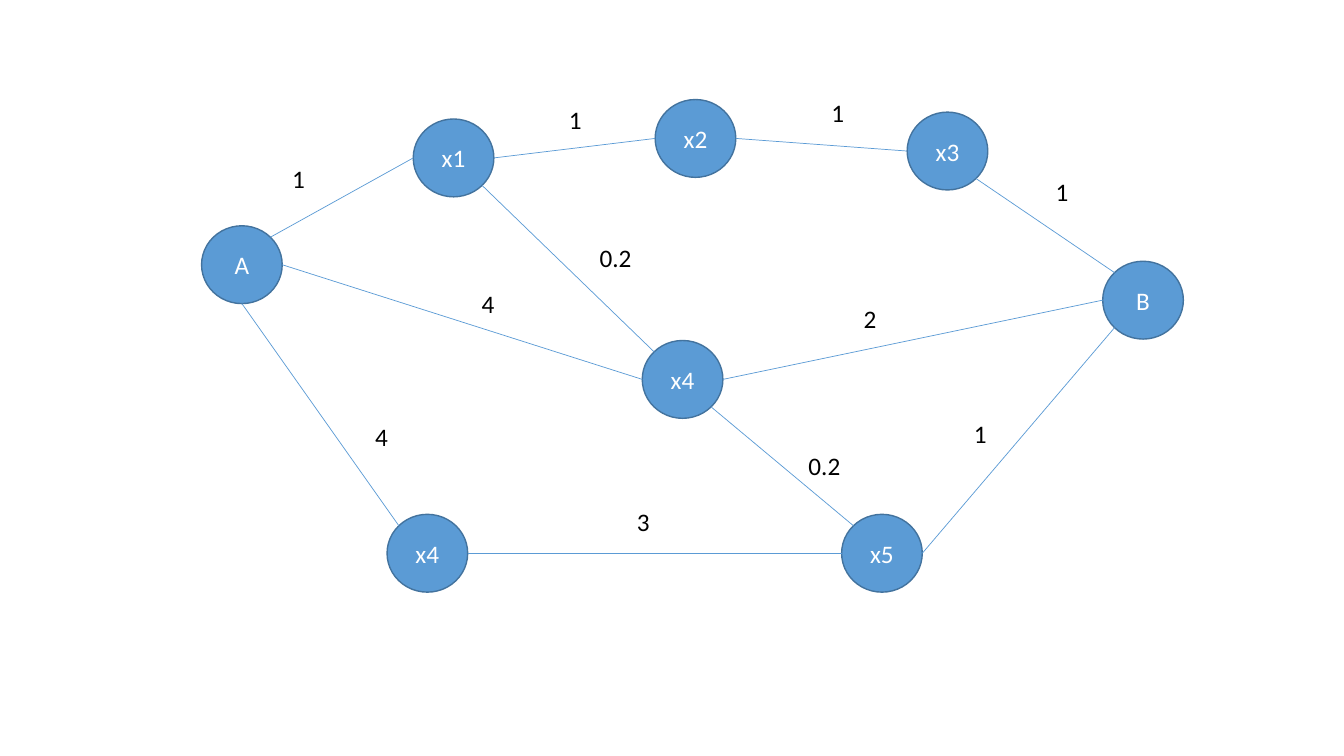
from math import cos, pi, sin

from lxml.etree import SubElement
from pptx import Presentation
from pptx.dml.color import RGBColor
from pptx.enum.shapes import MSO_CONNECTOR, MSO_SHAPE
from pptx.enum.text import MSO_ANCHOR, MSO_AUTO_SIZE, PP_ALIGN
from pptx.oxml.ns import qn
from pptx.util import Pt

COLORS = {"node": "5B9BD5", "outline": "43739E", "edge": "5B9BD5",
          "node_text": "FFFFFF", "weight": "000000"}
FONT, SIZE = "Calibri", 18
NODE_W, NODE_H = 57.6, 55.6
LABEL_W, LABEL_H = 68.4, 29.1

# Ellipse connection sites, counter-clockwise from the top
SITES = ["top", "top left", "left", "bottom left",
         "bottom", "bottom right", "right", "top right"]

# Key: (text, left, top)
NODES = {
    "A": ("A", 144, 161.3),
    "x1": ("x1", 295.2, 85),
    "x2": ("x2", 468, 71.1),
    "x3": ("x3", 648, 80.1),
    "B": ("B", 787.7, 186.6),
    "x4 middle": ("x4", 458.8, 243.2),
    "x4 lower": ("x4", 276.5, 367.4),
    "x5": ("x5", 601.2, 367.4),
}

# Start node, site, end node, site, weight, label left, label top
EDGES = [
    ("A", "top right", "x1", "left", "1", 201.6, 113),
    ("x1", "right", "x2", "left", "1", 399.2, 71.1),
    ("x2", "right", "x3", "left", "1", 586.8, 65.7),
    ("x3", "bottom right", "B", "top left", "1", 746.9, 122.4),
    ("A", "right", "x4 middle", "left", "4", 337, 202.3),
    ("x4 middle", "right", "B", "left", "2", 609.8, 213.1),
    ("A", "bottom", "x4 lower", "top left", "4", 260.8, 297.4),
    ("x4 lower", "right", "x5", "left", "3", 447.8, 358.4),
    ("x5", "right", "B", "bottom left", "1", 688.5, 295.4),
    ("x1", "bottom right", "x4 middle", "top left", "0.2", 421.2, 169.4),
    ("x4 middle", "bottom right", "x5", "top left", "0.2", 570.4, 318.2),
]


def rgb(name):
    return RGBColor.from_string(COLORS[name])


def set_text(tf, text, color):
    p = tf.paragraphs[0]
    p.text = text
    p.font.name, p.font.size = FONT, Pt(SIZE)
    p.font.color.rgb = rgb(color)
    return p


def add_node(s, text, left, top):
    sp = s.shapes.add_shape(MSO_SHAPE.OVAL, Pt(left), Pt(top),
                            Pt(NODE_W), Pt(NODE_H))
    sp.shadow.inherit = False
    sp.fill.solid()
    sp.fill.fore_color.rgb = rgb("node")
    sp.line.color.rgb = rgb("outline")
    sp.line.width = Pt(1)
    sp.text_frame.vertical_anchor = MSO_ANCHOR.MIDDLE
    set_text(sp.text_frame, text, "node_text").alignment = PP_ALIGN.CENTER
    return sp


def site_point(sp, site):
    angle = SITES.index(site) * pi / 4
    x = sp.left + sp.width / 2 * (1 - sin(angle))
    y = sp.top + sp.height / 2 * (1 - cos(angle))
    return round(x), round(y)


def add_edge(s, start, start_site, end, end_site):
    cx = s.shapes.add_connector(MSO_CONNECTOR.STRAIGHT,
                                *site_point(start, start_site),
                                *site_point(end, end_site))
    cx.line.color.rgb = rgb("edge")
    cx.line.width = Pt(0.5)
    SubElement(cx._element.spPr, qn("a:effectLst"))
    # Glue both ends to the nodes; ellipses have eight sites
    props = cx._element.find(".//" + qn("p:cNvCxnSpPr"))
    for tag, sp, site in (("a:stCxn", start, start_site),
                          ("a:endCxn", end, end_site)):
        SubElement(props, qn(tag), id=str(sp.shape_id),
                   idx=str(SITES.index(site)))


def add_weight(s, text, left, top):
    tb = s.shapes.add_textbox(Pt(left), Pt(top), Pt(LABEL_W), Pt(LABEL_H))
    tf = tb.text_frame
    tf.word_wrap = True
    tf.auto_size = MSO_AUTO_SIZE.SHAPE_TO_FIT_TEXT
    set_text(tf, text, "weight")


def main():
    prs = Presentation()
    prs.slide_width, prs.slide_height = Pt(960), Pt(540)
    s = prs.slides.add_slide(prs.slide_layouts[6])

    # Graph nodes
    nodes = {key: add_node(s, *node) for key, node in NODES.items()}

    # Edges with their weights
    for start, start_site, end, end_site, weight, left, top in EDGES:
        add_edge(s, nodes[start], start_site, nodes[end], end_site)
        add_weight(s, weight, left, top)

    prs.save("out.pptx")


main()
